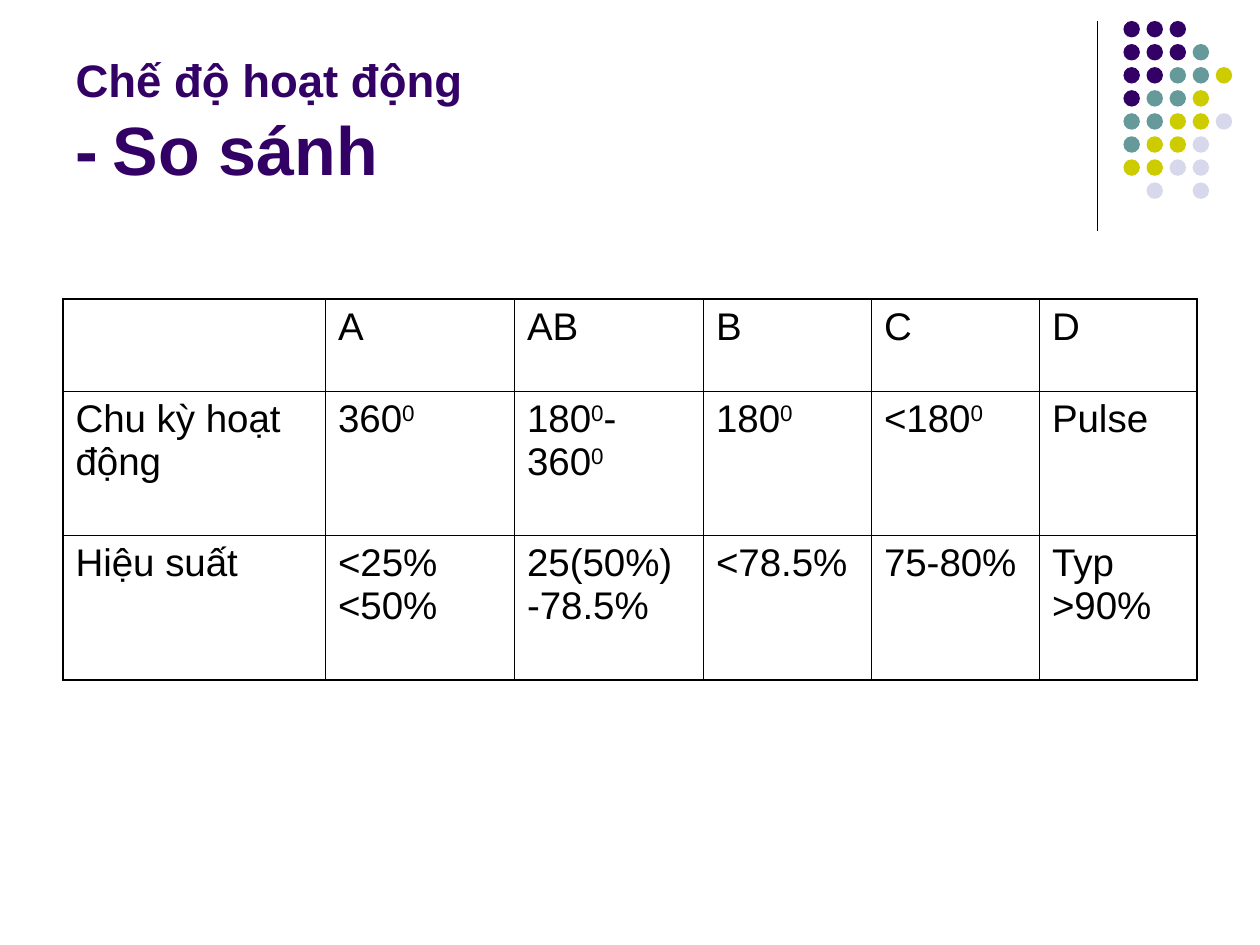
from lxml import etree
from pptx import Presentation
from pptx.dml.color import RGBColor
from pptx.enum import shapes, text
from pptx.oxml.ns import qn
from pptx.util import Pt

# Content: "|" switches superscript on and off in table cells
TITLE = [[("Chế độ hoạt động", 26)], [("-", 39), (" ", 30), ("So sánh", 39)]]
ROWS = [
    ["", "A", "AB", "B", "C", "D"],
    ["Chu kỳ hoạt động", "360|0", "180|0|-360|0", "180|0", "<180|0", "Pulse"],
    ["Hiệu suất", "<25% <50%", "25(50%) -78.5%", "<78.5%", "75-80%", "Typ >90%"],
]
COL_WIDTHS = [150, 108, 108, 96, 96, 90]
ROW_HEIGHTS = [53, 82, 83]
DOTS = ["PPP", "PPPT", "PPTTY", "PTTY", "TTYYL", "TYYL", "YYLL", " L L"]
DOT_COLOURS = {"P": "330066", "T": "669999", "Y": "CCCC00", "L": "D8D8EC"}
DOT_LEFT, DOT_TOP, DOT_PITCH, DOT_SIZE = 642, 12, 13.18, 9.4
BLACK, PURPLE = "000000", "330066"
THIN, THICK = 0.45, 1.08


def colour(value):
    return RGBColor.from_string(value)


def add_run(p, words, size, value, bold=False):
    r = p.add_run()
    r.text = words
    formats = {"name": "Arial", "size": Pt(size), "bold": bold}
    for key, setting in formats.items():
        setattr(r.font, key, setting)
    r.font.color.rgb = colour(value)
    return r


def set_border(cell, side, width):
    ln = etree.SubElement(cell._tc.get_or_add_tcPr(), qn("a:ln" + side),
                          w=str(Pt(width)))
    fill = etree.SubElement(ln, qn("a:solidFill"))
    etree.SubElement(fill, qn("a:srgbClr"), val=BLACK)


prs = Presentation()
prs.slide_width, prs.slide_height = Pt(720), Pt(540)
s = prs.slides.add_slide(prs.slide_layouts[5])

# Divider line
line = s.shapes.add_connector(shapes.MSO_CONNECTOR.STRAIGHT,
                              Pt(627), Pt(12), Pt(627), Pt(132))
line.line.width = Pt(0.75)
line.line.color.rgb = colour(BLACK)
etree.SubElement(line._element.spPr, qn("a:effectLst"))

# Dot pattern
dots = s.shapes.add_group_shape()
for i, row in enumerate(DOTS):
    for j, key in enumerate(row):
        if key == " ":
            continue
        dot = dots.shapes.add_shape(
            shapes.MSO_SHAPE.OVAL, Pt(DOT_LEFT + j * DOT_PITCH),
            Pt(DOT_TOP + i * DOT_PITCH), Pt(DOT_SIZE), Pt(DOT_SIZE))
        dot.shadow.inherit = False
        dot.fill.solid()
        dot.fill.fore_color.rgb = colour(DOT_COLOURS[key])
        dot.line.fill.background()

# Title
title = s.shapes.title
title.left, title.top, title.width, title.height = Pt(36), Pt(9.5), Pt(594), Pt(102)
tf = title.text_frame
tf.auto_size = text.MSO_AUTO_SIZE.NONE
tf.vertical_anchor = text.MSO_ANCHOR.BOTTOM
p = tf.paragraphs[0]
p.alignment = text.PP_ALIGN.LEFT
for i, title_line in enumerate(TITLE):
    if i:
        p.add_line_break()
    for words, size in title_line:
        add_run(p, words, size, PURPLE, bold=True)

# Comparison table
frame = s.shapes.add_table(len(ROWS), len(COL_WIDTHS), Pt(36), Pt(170.8),
                           Pt(sum(COL_WIDTHS)), Pt(sum(ROW_HEIGHTS)))
table = frame.table
table.first_row = table.horz_banding = False
for column, width in zip(table.columns, COL_WIDTHS):
    column.width = Pt(width)
for i, row in enumerate(ROWS):
    table.rows[i].height = Pt(ROW_HEIGHTS[i])
    for j, words in enumerate(row):
        cell = table.cell(i, j)
        outer = {"L": j == 0, "R": j == len(row) - 1,
                 "T": i == 0, "B": i == len(ROWS) - 1}
        for side, is_outer in outer.items():
            set_border(cell, side, THICK if is_outer else THIN)
        cell.fill.background()
        p = cell.text_frame.paragraphs[0]
        for n, part in enumerate(words.split("|")):
            if part:
                r = add_run(p, part, 22, BLACK)
                if n % 2:
                    r.font._element.set("baseline", "30000")

prs.save("out.pptx")
